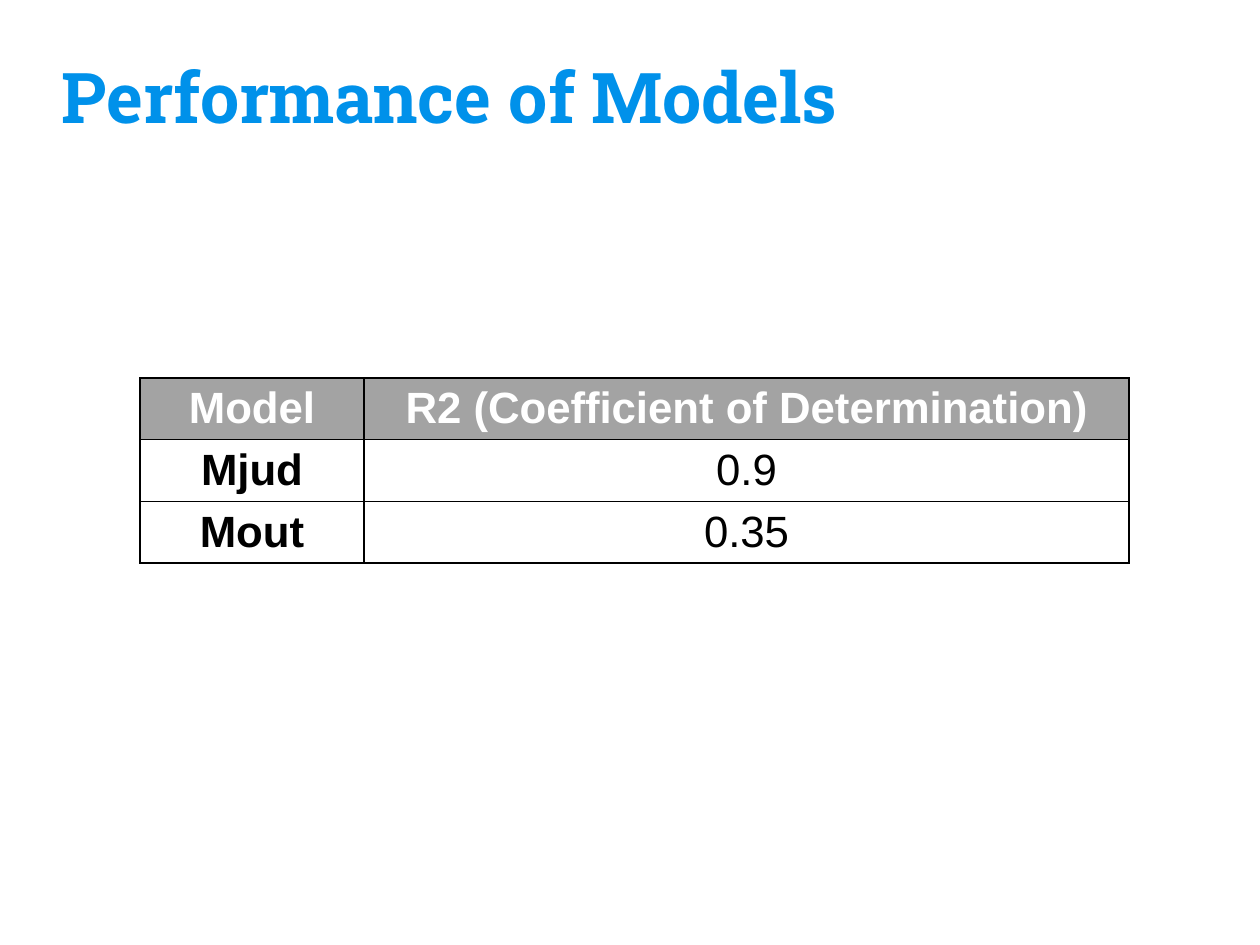
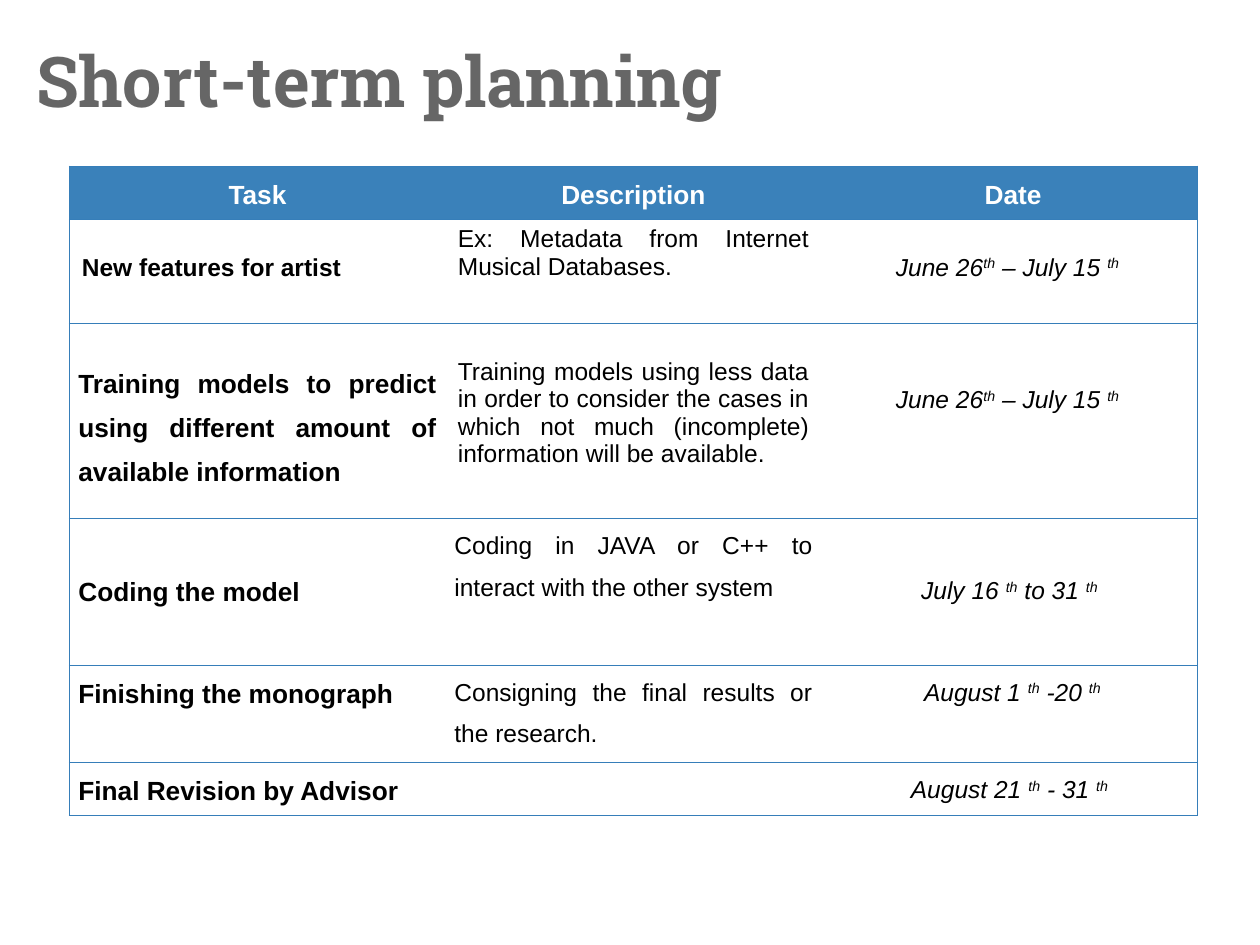
from dataclasses import dataclass
from lxml import etree
from pptx import Presentation
from pptx import util as u
from pptx.dml import color
from pptx.enum import text
from pptx.oxml import ns

ALIGN = text.PP_ALIGN


@dataclass(frozen=True)
class Theme:
    head: str = "Roboto Slab"
    body: str = "Arial"
    sky: str = "0091EA"
    gray: str = "666666"
    ash: str = "A3A3A3"
    blue: str = "367EB9"
    band: str = "3A81BA"
    black: str = "000000"
    white: str = "FFFFFF"
    title: int = 40
    large: int = 25
    task: int = 15
    small: int = 14


@dataclass
class Look:
    size: int
    tone: str = "000000"
    fill: str = "FFFFFF"
    bold: bool = False
    slant: bool = False
    align: object = ALIGN.CENTER
    lead: float = 1.0
    side: float = 0.25
    edge: float = 0.13
    drop: float = 0
    mid: bool = False


class Deck:
    def __init__(self, theme):
        self.theme = theme
        self.file = Presentation()
        self.file.slide_width = u.Cm(25.4)
        self.file.slide_height = u.Cm(19.05)
        self.slide = None

    def font(self, run, name, size, tone, bold, slant=False):
        font = run.font
        font.name = name
        font.size = u.Pt(size)
        font.bold = bold
        font.italic = slant
        font.color.rgb = color.RGBColor.from_string(tone)

    def page(self, words, left, top, tone):
        self.slide = self.file.slides.add_slide(self.file.slide_layouts[5])
        title = self.slide.shapes.title
        title.left, title.top = u.Cm(left), u.Cm(top)
        title.width, title.height = u.Cm(21.03), u.Cm(2.59)
        frame = title.text_frame
        frame.text = words
        frame.word_wrap = True
        frame.auto_size = text.MSO_AUTO_SIZE.NONE
        frame.vertical_anchor = text.MSO_ANCHOR.BOTTOM
        frame.margin_left = frame.margin_right = u.Cm(0.25)
        frame.margin_top = frame.margin_bottom = u.Cm(0.25)
        para = frame.paragraphs[0]
        para.alignment = ALIGN.LEFT
        self.font(para.runs[0], self.theme.head, self.theme.title, tone, True)

    def border(self, cell, sides, tone, width):
        props = cell._tc.get_or_add_tcPr()
        for spot, side in enumerate("LRTB"):
            line = etree.Element(ns.qn(f"a:ln{side}"), w=str(u.Pt(width)))
            if side in sides:
                fill = etree.SubElement(line, ns.qn("a:solidFill"))
                etree.SubElement(fill, ns.qn("a:srgbClr"), val=tone)
            else:
                etree.SubElement(line, ns.qn("a:noFill"))
            props.insert(spot, line)

    def cell(self, cell, words, look):
        cell.fill.solid()
        cell.fill.fore_color.rgb = color.RGBColor.from_string(look.fill)
        cell.margin_left = cell.margin_right = u.Cm(look.side)
        cell.margin_top = u.Cm(look.edge + look.drop)
        cell.margin_bottom = u.Cm(look.edge)
        if look.mid:
            cell.vertical_anchor = text.MSO_ANCHOR.MIDDLE
        para = cell.text_frame.paragraphs[0]
        para.alignment = look.align
        para.line_spacing = look.lead
        for spot, part in enumerate(words.split("^")):
            if part:
                run = para.add_run()
                run.text = part
                self.font(run, self.theme.body, look.size, look.tone, look.bold, look.slant)
                if spot % 2:
                    run._r.get_or_add_rPr().set("baseline", "30000")

    def table(self, left, top, cols, rows, cells, tone, width, grid):
        grip = self.slide.shapes.add_table(
            len(rows), len(cols), u.Cm(left), u.Cm(top), u.Cm(sum(cols)), u.Cm(sum(rows)))
        table = grip.table
        table.horz_banding = False
        for col, wide in zip(table.columns, cols):
            col.width = u.Cm(wide)
        for row, tall in zip(table.rows, rows):
            row.height = u.Cm(tall)
        last = len(cols) - 1
        for r, line in enumerate(cells):
            for c, (words, look) in enumerate(line):
                cell = table.cell(r, c)
                self.cell(cell, words, look)
                sides = "TB" + "L" * (grid or c == 0) + "R" * (grid or c == last)
                self.border(cell, sides, tone, width)


def models(deck):
    theme = deck.theme
    deck.page("Performance of Models", 0.99, 0.43, theme.sky)
    head = Look(theme.large, theme.white, theme.ash, bold=True)
    name = Look(theme.large, bold=True)
    score = Look(theme.large)
    cells = [[("Model", head), ("R2 (Coefficient of Determination)", head)]]
    for model, value in [("Mjud", "0.9"), ("Mout", "0.35")]:
        cells.append([(model, name), (value, score)])
    deck.table(2.82, 7.62, [4.52, 15.42], [1.23] * 3, cells, theme.black, 1, True)


def plan(deck):
    theme = deck.theme
    deck.page("Short-term planning", 0.48, 0.1, theme.gray)
    tight = dict(lead=1.5, side=0.18, edge=0)
    just = dict(align=ALIGN.JUSTIFY)
    line = 0.57
    tall = 0.9
    head = Look(theme.task, theme.white, theme.band, bold=True, **tight)

    def task(**more):
        return Look(theme.task, bold=True, **just, **tight, **more)

    def note(**more):
        return Look(theme.small, **just, **more)

    def date(**more):
        return Look(theme.small, slant=True, **more)

    first = Look(theme.small, bold=True, drop=line, **just)
    span = "June 26^th^ – July 15 ^th "
    cells = [
        [("Task", head), ("Description", head), (" Date", head)],
        [("New features for artist", first),
         ("Ex: Metadata from Internet Musical Databases.", note()),
         (span, date(drop=line))],
        [("Training models to predict using different amount of available information",
          task(mid=True)),
         ("Training models using less data in order to consider the cases in which "
          "not much (incomplete) information will be available.", note(drop=line)),
         (span, date(drop=2 * line))],
        [("Coding the model", task(drop=tall)),
         ("Coding in JAVA or C++ to interact with the other system", note(**tight)),
         ("July 16 ^th^ to 31 ^th", date(drop=tall, **tight))],
        [("Finishing the monograph", task()),
         ("Consigning the final results or the research.", note(**tight)),
         (" August 1 ^th^ -20 ^th", date(**tight))],
        [("Final Revision by Advisor", task()),
         ("", note(**tight)),
         ("August 21 ^th^ - 31 ^th", date(**tight))],
    ]
    rows = [1.07, 2.1, 3.94, 2.95, 1.96, 1.07]
    deck.table(1.4, 3.35, [7.58] * 3, rows, cells, theme.blue, 0.75, False)


def main():
    deck = Deck(Theme())
    models(deck)
    plan(deck)
    deck.file.save("out.pptx")


if __name__ == "__main__":
    main()
